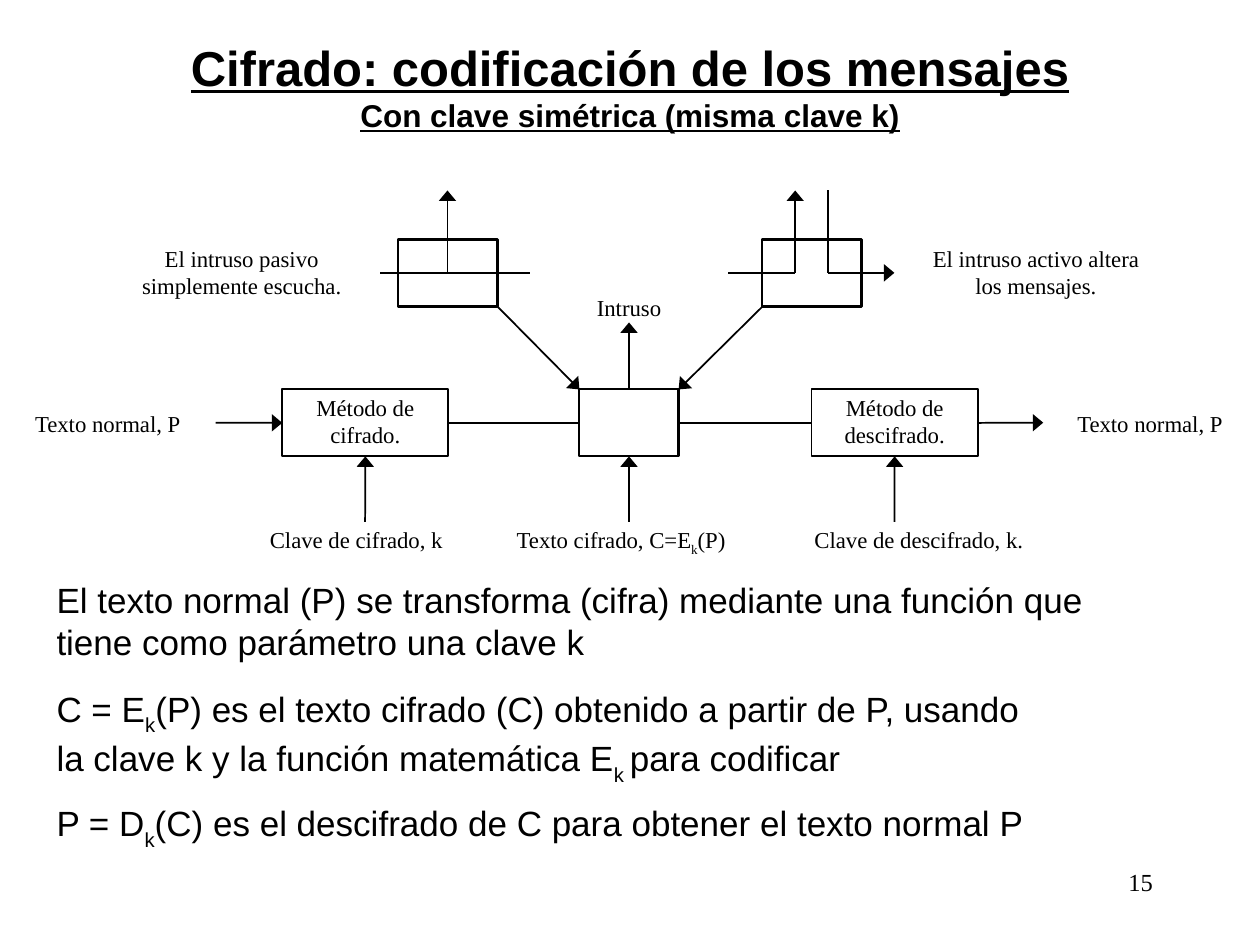
from dataclasses import dataclass
from typing import NamedTuple, Optional

from lxml.etree import SubElement
from pptx import Presentation
from pptx.dml.color import RGBColor
from pptx.enum.shapes import MSO_CONNECTOR, MSO_SHAPE
from pptx.enum.text import MSO_ANCHOR, MSO_AUTO_SIZE, PP_ALIGN
from pptx.oxml.ns import qn
from pptx.util import Cm, Pt


@dataclass(frozen=True)
class Theme:
    ink: RGBColor = RGBColor(0, 0, 0)
    paper: RGBColor = RGBColor(255, 255, 255)
    sans: str = "Arial"
    serif: str = "Times New Roman"
    head: int = 28
    sub: int = 18
    body: int = 20
    label: int = 13
    page: int = 14
    thin: float = 1
    thick: float = 1.25


class Box(NamedTuple):
    name: str
    x: float
    y: float
    w: float
    weight: float
    text: str = ""


class Label(NamedTuple):
    mid: float
    y: float
    w: float
    text: str


class Note(NamedTuple):
    y: float
    w: float
    h: float
    text: str


class Joint(NamedTuple):
    box: str
    side: int


class Wire(NamedTuple):
    x1: float
    y1: float
    x2: float
    y2: float
    weight: float
    arrow: bool = True
    start: Optional[Joint] = None
    end: Optional[Joint] = None


THEME = Theme()
TOP, LEFT, BOTTOM, RIGHT = range(4)

# Shared lines of the diagram, in centimetres
HIGH = 1.35
ROW, FLOW, FOOT = 7.85, 8.52, 9.2
TAP, PEAK, SPY = 5.5, 3.84, 4.83
KEY, NAME = 10.52, 10.59
ENC, MID, DEC = 7.36, 12.68, 18.03

BOXES = [
    Box("enc", 5.69, ROW, 3.35, THEME.thin, "Método de\ncifrado."),
    Box("dec", 16.36, ROW, 3.35, THEME.thin, "Método de\ndescifrado."),
    Box("mid", 11.68, ROW, 2, THEME.thick),
    Box("passive", 8.03, SPY, 2, THEME.thick),
    Box("active", 15.37, SPY, 2, THEME.thick),
]

WIRES = [
    Wire(4.35, FLOW, 5.69, FLOW, THEME.thin, end=Joint("enc", LEFT)),
    Wire(9.04, FLOW, 11.68, FLOW, THEME.thick, False,
         Joint("enc", RIGHT), Joint("mid", LEFT)),
    Wire(13.68, FLOW, 16.36, FLOW, THEME.thick, False,
         Joint("mid", RIGHT), Joint("dec", LEFT)),
    Wire(19.71, FLOW, 21.03, FLOW, THEME.thin, start=Joint("dec", RIGHT)),
    Wire(ENC, KEY, ENC, FOOT, THEME.thin, end=Joint("enc", BOTTOM)),
    Wire(MID, KEY, MID, FOOT, THEME.thin, end=Joint("mid", BOTTOM)),
    Wire(DEC, KEY, DEC, FOOT, THEME.thin, end=Joint("dec", BOTTOM)),
    Wire(MID, ROW, MID, 6.5, THEME.thin, start=Joint("mid", TOP)),
    Wire(10.03, SPY + HIGH, 11.68, ROW, THEME.thin),
    Wire(15.37, SPY + HIGH, 13.68, ROW, THEME.thin),
    Wire(7.67, TAP, 10.69, TAP, THEME.thick, False),
    Wire(9.02, TAP, 9.02, PEAK, THEME.thin),
    Wire(14.68, TAP, 16.03, TAP, THEME.thick, False),
    Wire(16.03, TAP, 16.03, PEAK, THEME.thin),
    Wire(16.69, PEAK, 16.69, TAP, THEME.thick, False),
    Wire(16.69, TAP, 18.03, TAP, THEME.thin),
]

LABELS = [
    Label(4.87, 4.93, 4.34, "El intruso pasivo\nsimplemente escucha."),
    Label(20.88, 4.93, 4.4, "El intruso activo altera\nlos mensajes."),
    Label(MID, 5.92, 2.7, "Intruso"),
    Label(2.17, 8.26, 4.34, "Texto normal, P"),
    Label(23.18, 8.26, 4.34, "Texto normal, P"),
    Label(7.18, NAME, 4.34, "Clave de cifrado, k"),
    Label(12.52, NAME, 5, "Texto cifrado, C=E|k|(P)"),
    Label(18.52, NAME, 5.69, "Clave de descifrado, k."),
]

NOTES = [
    Note(11.53, 22.2, 1.96, "El texto normal (P) se transforma (cifra) mediante una "
         "función que tiene como parámetro una clave k"),
    Note(13.72, 20.57, 2.26, "C = E|k|(P) es el texto cifrado (C) obtenido a partir de P, "
         "usando la clave k y la función matemática E|k |para codificar"),
    Note(16.03, 20.57, 1.27, "P = D|k|(C) es el descifrado de C para obtener "
         "el texto normal P"),
]


def style(font, face: str, size: int) -> None:
    font.name, font.size = face, Pt(size)
    font.color.rgb = THEME.ink


def write(frame, text: str, face: str, size: int, align=PP_ALIGN.LEFT) -> None:
    """Fill a frame; the parts between bars are set as subscripts."""
    frame.text = "\n".join([""] * (text.count("\n") + 1))
    for para, line in zip(frame.paragraphs, text.split("\n")):
        para.alignment = align
        for i, part in enumerate(line.split("|")):
            run = para.add_run()
            run.text = part
            style(run.font, face, size)
            if i % 2:
                run._r.get_or_add_rPr().set("baseline", "-30000")


def pad(frame, side: float, top: float) -> None:
    frame.margin_left = frame.margin_right = Cm(side)
    frame.margin_top = frame.margin_bottom = Cm(top)
    frame.word_wrap = True


def draw_box(slide, box: Box):
    shape = slide.shapes.add_shape(
        MSO_SHAPE.RECTANGLE, Cm(box.x), Cm(box.y), Cm(box.w), Cm(HIGH))
    shape.shadow.inherit = False
    shape.fill.solid()
    shape.fill.fore_color.rgb = THEME.paper
    shape.line.color.rgb = THEME.ink
    shape.line.width = Pt(box.weight)
    if box.text:
        frame = shape.text_frame
        pad(frame, 0, 0.08)
        frame.vertical_anchor = MSO_ANCHOR.TOP
        write(frame, box.text, THEME.serif, THEME.label, PP_ALIGN.CENTER)
    return shape


def draw_wire(slide, wire: Wire, boxes: dict) -> None:
    line = slide.shapes.add_connector(
        MSO_CONNECTOR.STRAIGHT, Cm(wire.x1), Cm(wire.y1), Cm(wire.x2), Cm(wire.y2))
    if wire.start:
        line.begin_connect(boxes[wire.start.box], wire.start.side)
    if wire.end:
        line.end_connect(boxes[wire.end.box], wire.end.side)
    line.line.color.rgb = THEME.ink
    line.line.width = Pt(wire.weight)
    if wire.arrow:
        SubElement(line.line._get_or_add_ln(), qn("a:tailEnd"),
                   type="triangle", w="lg", len="med")
    SubElement(line._element.spPr, qn("a:effectLst"))


def draw_label(slide, label: Label) -> None:
    high = 0.55 * (label.text.count("\n") + 1)
    box = slide.shapes.add_textbox(
        Cm(label.mid - label.w / 2), Cm(label.y), Cm(label.w), Cm(high))
    pad(box.text_frame, 0, 0)
    write(box.text_frame, label.text, THEME.serif, THEME.label, PP_ALIGN.CENTER)


def draw_note(slide, note: Note) -> None:
    box = slide.shapes.add_textbox(Cm(0.89), Cm(note.y), Cm(note.w), Cm(note.h))
    pad(box.text_frame, 0.25, 0.13)
    write(box.text_frame, note.text, THEME.sans, THEME.body)


def draw_title(slide) -> None:
    title = slide.shapes.title
    title.left, title.top = Cm(1.9), Cm(0.13)
    title.width, title.height = Cm(21.6), Cm(3.18)
    frame = title.text_frame
    frame.text = ("Cifrado: codificación de los mensajes\v"
                  "Con clave simétrica (misma clave k)")
    frame.auto_size = MSO_AUTO_SIZE.NONE
    frame.vertical_anchor = MSO_ANCHOR.MIDDLE
    para = frame.paragraphs[0]
    para.alignment = PP_ALIGN.CENTER
    for run, size in zip(para.runs, (THEME.head, THEME.sub)):
        style(run.font, THEME.sans, size)
        run.font.bold = run.font.underline = True


def main() -> None:
    deck = Presentation()
    deck.slide_width, deck.slide_height = Cm(25.4), Cm(19.05)
    slide = deck.slides.add_slide(deck.slide_layouts[5])
    draw_title(slide)
    boxes = {box.name: draw_box(slide, box) for box in BOXES}
    for wire in WIRES:
        draw_wire(slide, wire, boxes)
    for label in LABELS:
        draw_label(slide, label)
    for note in NOTES:
        draw_note(slide, note)
    page = slide.shapes.add_textbox(Cm(18.21), Cm(17.35), Cm(5.28), Cm(1.27))
    pad(page.text_frame, 0.25, 0.13)
    write(page.text_frame, "15", THEME.serif, THEME.page, PP_ALIGN.RIGHT)
    deck.save("out.pptx")


if __name__ == "__main__":
    main()
